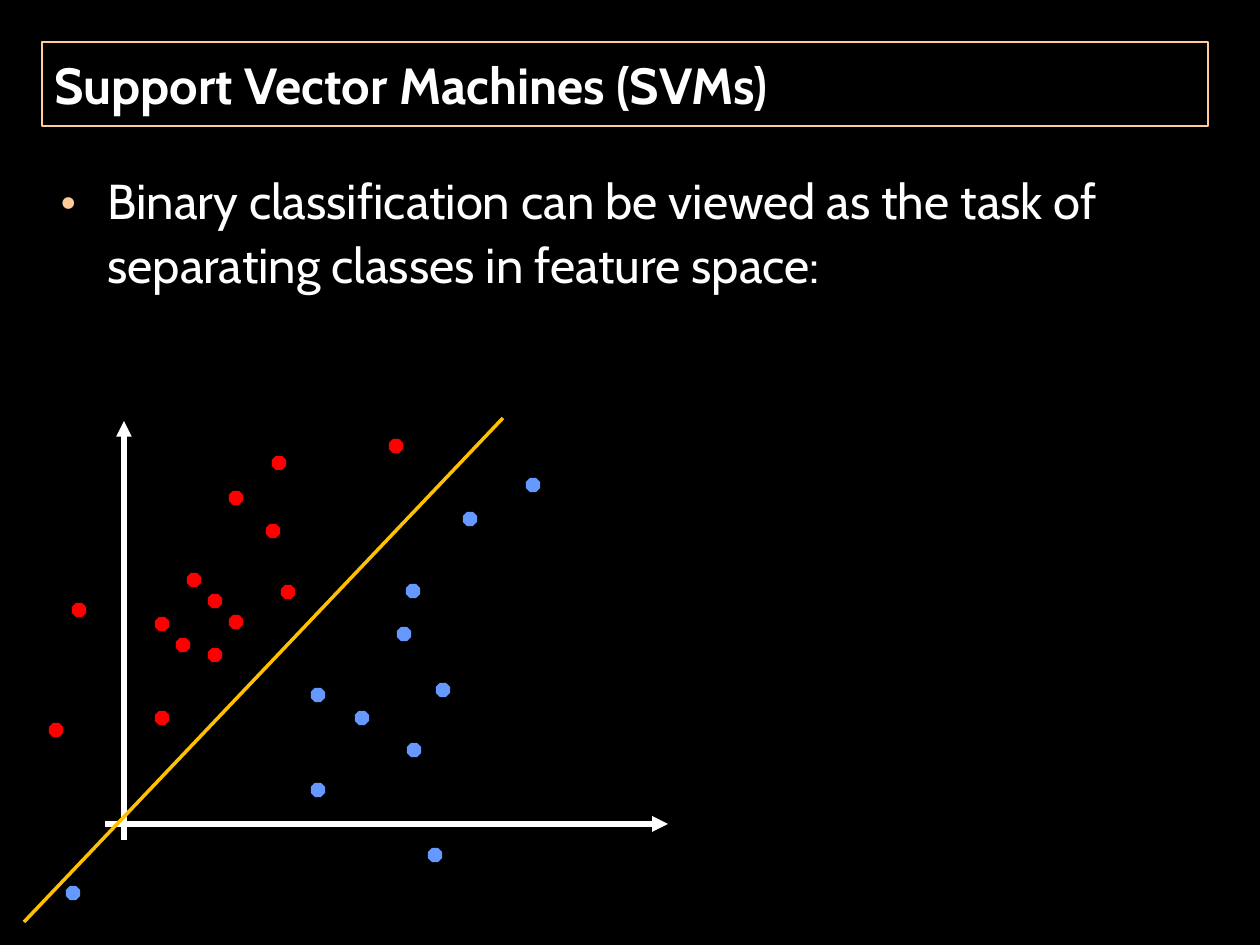
"""Build a slide showing two classes separated by a line in feature space."""
from dataclasses import dataclass

from lxml.etree import SubElement
from pptx import Presentation
from pptx.dml.color import RGBColor as RGB
from pptx.enum.shapes import MSO_CONNECTOR as CONN, MSO_SHAPE as SHAPE
from pptx.enum.text import MSO_ANCHOR as ANCHOR, MSO_AUTO_SIZE as AUTO, PP_ALIGN as ALIGN
from pptx.oxml.ns import qn
from pptx.util import Emu, Pt


@dataclass(frozen=True)
class Theme:
    font: str = "Cabin"
    back: str = "000000"
    text: str = "FFFFFF"
    accent: str = "FFCC99"
    positive: str = "FF0000"
    negative: str = "6699FF"
    boundary: str = "FFC000"
    title_size: int = 29
    body_size: int = 28


T = Theme()
EMU_PER_PX = 914400 / 126
SLIDE = (1260, 945)
DOT = 13
INDENT = 47

TITLE = ("Support Vector Machines (SVMs)", (42, 42, 1166, 84))
BODY = ("Binary classification can be viewed as the task of separating classes in feature space:",
        (48, 158, 1163, 746))
LINES = [
    ((124, 840), (124, 421), T.text, 3, True),
    ((105, 824), (668, 824), T.text, 3, True),
    ((24, 922), (503, 418), T.boundary, 2, False),
]
CLASSES = {
    T.positive: [
        (273, 531), (194, 580), (215, 655), (162, 718), (236, 498), (162, 624),
        (183, 645), (288, 592), (279, 463), (396, 446), (79, 610), (215, 601),
        (56, 730), (236, 622),
    ],
    T.negative: [
        (413, 591), (362, 718), (443, 690), (318, 790), (404, 634), (318, 695),
        (414, 750), (470, 519), (533, 485), (435, 855), (73, 893),
    ],
}


def px(n):
    return Emu(round(n * EMU_PER_PX))


def color(value):
    return RGB.from_string(value)


def fill_placeholder(ph, content, size, bold=False):
    text, box = content
    ph.left, ph.top, ph.width, ph.height = map(px, box)
    tf = ph.text_frame
    tf.word_wrap, tf.auto_size = True, AUTO.NONE
    p = tf.paragraphs[0]
    p.alignment = ALIGN.LEFT
    p.space_before = Pt(0)
    r = p.add_run()
    r.text = text
    r.font.name, r.font.size, r.font.bold = T.font, Pt(size), bold
    r.font.color.rgb = color(T.text)
    return tf


def add_bullet(p):
    pPr = p._p.get_or_add_pPr()
    pPr.set("marL", str(px(INDENT)))
    pPr.set("indent", str(-px(INDENT)))
    SubElement(SubElement(pPr, qn("a:buClr")), qn("a:srgbClr"), val=T.accent)
    SubElement(pPr, qn("a:buSzPct"), val="110000")
    SubElement(pPr, qn("a:buFont"), typeface=T.font)
    SubElement(pPr, qn("a:buChar"), char="•")


def add_line(s, start, end, rgb, width, arrow):
    c = s.shapes.add_connector(CONN.STRAIGHT, *map(px, start + end))
    c.line.color.rgb, c.line.width = color(rgb), Pt(width)
    if arrow:
        SubElement(c.line._get_or_add_ln(), qn("a:tailEnd"), type="triangle")
    SubElement(c._element.spPr, qn("a:effectLst"))


def add_dot(s, x, y, rgb):
    sp = s.shapes.add_shape(SHAPE.OCTAGON, px(x - DOT / 2), px(y - DOT / 2), px(DOT), px(DOT))
    sp.shadow.inherit = False
    sp.fill.solid()
    sp.fill.fore_color.rgb = sp.line.color.rgb = color(rgb)
    sp.line.width = Pt(0.75)


def main():
    prs = Presentation()
    prs.slide_width, prs.slide_height = map(px, SLIDE)
    s = prs.slides.add_slide(prs.slide_layouts[1])
    s.background.fill.solid()
    s.background.fill.fore_color.rgb = color(T.back)

    title, body = s.placeholders
    tf = fill_placeholder(title, TITLE, T.title_size, bold=True)
    tf.vertical_anchor = ANCHOR.MIDDLE
    title.line.color.rgb, title.line.width = color(T.accent), Pt(0.75)

    tf = fill_placeholder(body, BODY, T.body_size)
    p = tf.paragraphs[0]
    p.line_spacing, p.space_after = 1.1, Pt(6)
    add_bullet(p)

    for line in LINES:
        add_line(s, *line)
    for rgb, points in CLASSES.items():
        for x, y in points:
            add_dot(s, x, y, rgb)
    prs.save("out.pptx")


if __name__ == "__main__":
    main()
